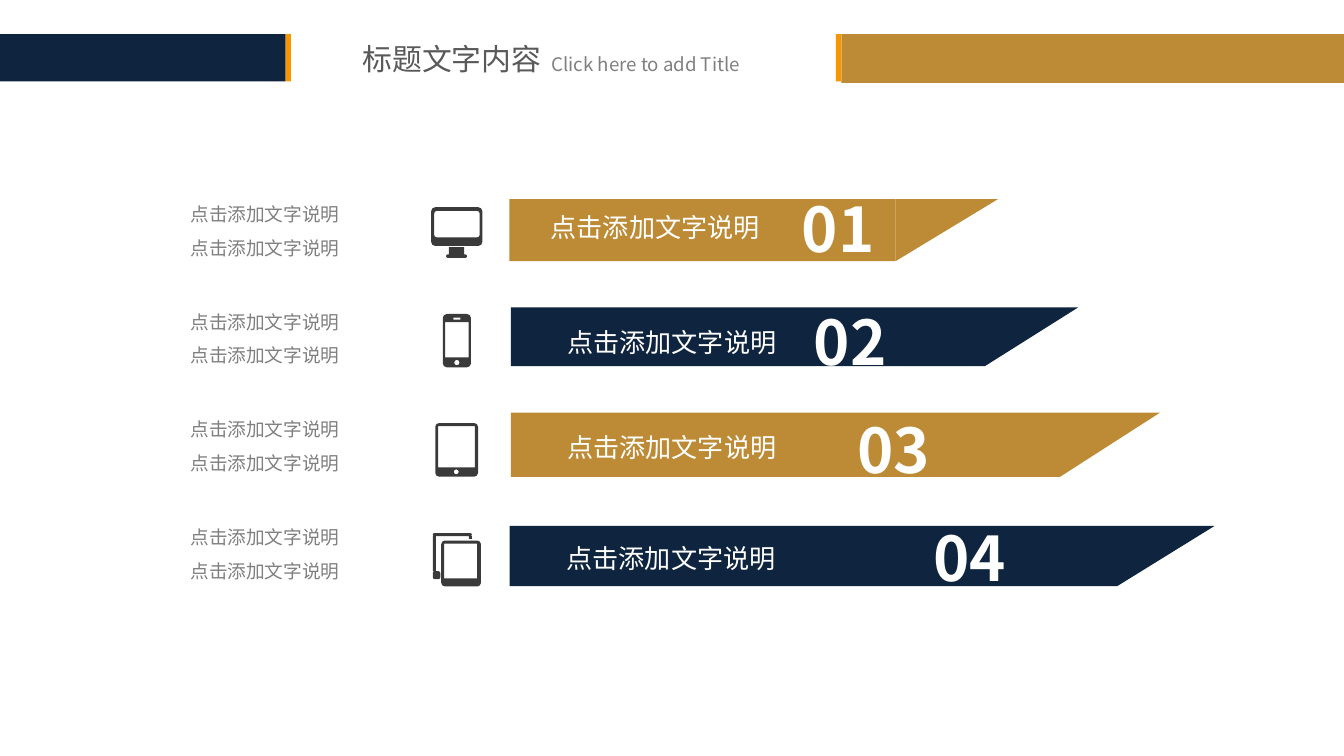
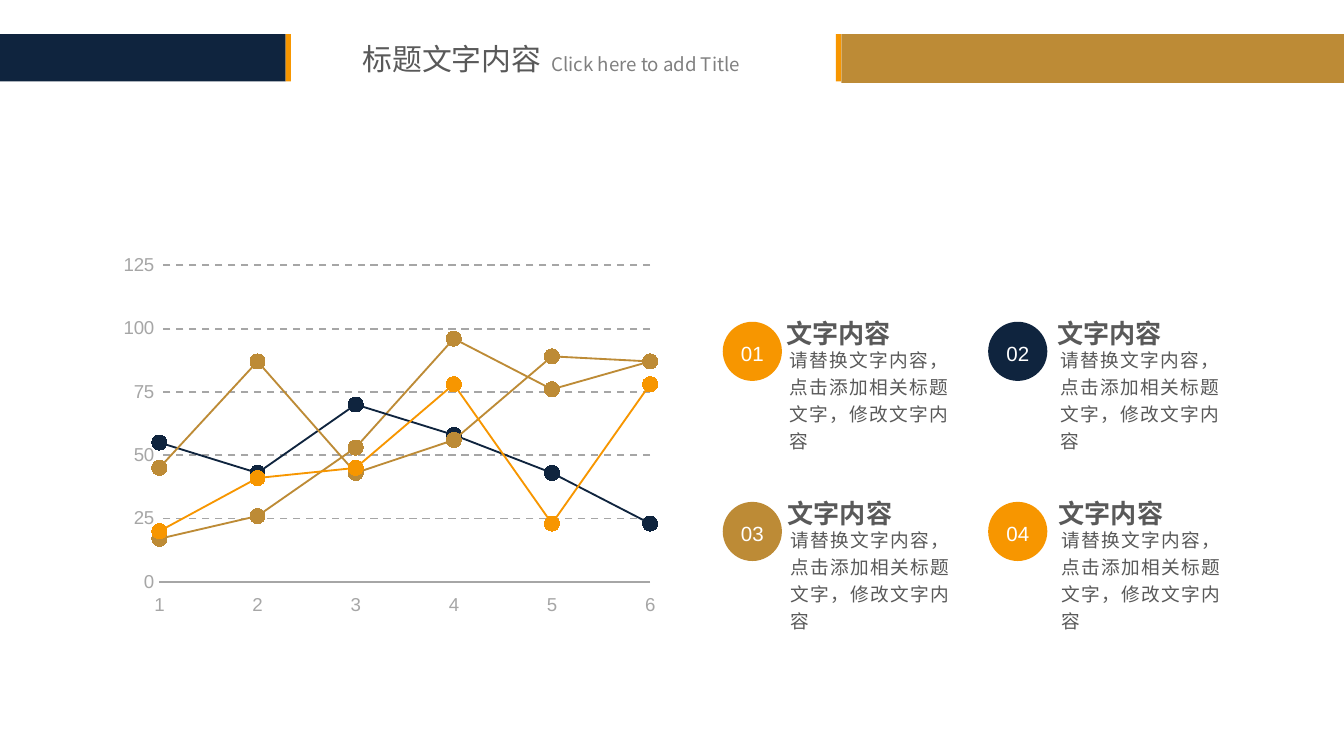
from math import cos, radians, sin

from lxml.etree import SubElement
from pptx import Presentation
from pptx.chart.data import CategoryChartData
from pptx.dml.color import RGBColor
from pptx.enum.chart import XL_CHART_TYPE, XL_MARKER_STYLE, XL_TICK_LABEL_POSITION, XL_TICK_MARK
from pptx.enum.dml import MSO_LINE
from pptx.enum.shapes import MSO_SHAPE
from pptx.enum.text import MSO_ANCHOR, MSO_AUTO_SIZE, PP_ALIGN
from pptx.oxml.ns import qn
from pptx.util import Pt

RECTANGLE, TRIANGLE, OVAL = MSO_SHAPE.RECTANGLE, MSO_SHAPE.RIGHT_TRIANGLE, MSO_SHAPE.OVAL
LEFT, CENTER, JUSTIFY = PP_ALIGN.LEFT, PP_ALIGN.CENTER, PP_ALIGN.JUSTIFY
TOP, MIDDLE = MSO_ANCHOR.TOP, MSO_ANCHOR.MIDDLE
NO_TICK = XL_TICK_MARK.NONE


class Theme:
    navy = RGBColor(0x0F, 0x24, 0x3E)
    gold = RGBColor(0xBD, 0x8B, 0x36)
    orange = RGBColor(0xF7, 0x96, 0x00)
    white = RGBColor(0xFF, 0xFF, 0xFF)
    icon = RGBColor(0x3A, 0x3A, 0x3A)
    dark_text = RGBColor(0x59, 0x59, 0x59)
    gray_text = RGBColor(0x80, 0x80, 0x80)
    axis = RGBColor(0xA6, 0xA6, 0xA6)
    cjk_font = "Noto Sans CJK SC"
    latin_font = "Arial"
    title, heading, badge, body, number = Pt(16), Pt(14), Pt(11), Pt(10), Pt(33)


def paint(shape, color):
    """Give a shape a flat fill with no outline or shadow."""
    shape.shadow.inherit = False
    shape.fill.solid()
    shape.fill.fore_color.rgb = color
    shape.line.fill.background()


def add_text(page, area, lines, size, color, font=Theme.cjk_font, bold=False, wrap=True,
             inset=(5.4, 2.7), align=LEFT, anchor=TOP, spacing=1.0):
    """Place one paragraph per line in area: left, top, width, height in points."""
    frame = page.shapes.add_textbox(*map(Pt, area)).text_frame
    frame.word_wrap = wrap
    frame.auto_size = MSO_AUTO_SIZE.SHAPE_TO_FIT_TEXT
    frame.vertical_anchor = anchor
    frame.margin_left = frame.margin_right = Pt(inset[0])
    frame.margin_top = frame.margin_bottom = Pt(inset[1])
    frame.text = "\n".join(lines)
    for para in frame.paragraphs:
        para.alignment = align
        para.line_spacing = spacing
        para.font.size = size
        para.font.bold = bold
        para.font.color.rgb = color
        para.font.name = font
        SubElement(para._p.pPr.find(qn("a:defRPr")), qn("a:ea"), typeface=Theme.cjk_font)


deck = Presentation()
deck.slide_width, deck.slide_height = Pt(720), Pt(405)
pages = [deck.slides.add_slide(deck.slide_layouts[6]) for _ in range(2)]

# Shared header
header_bands = [
    (450.7, 269.3, 26.2, Theme.gold),
    (0, 153, 25.4, Theme.navy),
    (447.8, 2.9, 25.4, Theme.orange),
    (153, 2.9, 25.4, Theme.orange),
]
for page in pages:
    add_text(page, (187.2, 18, 119.5, 26.6), ["标题文字内容"], Theme.title, Theme.dark_text,
             wrap=False, inset=(7.2, 3.6))
    add_text(page, (288.5, 25, 121.5, 19.4), ["Click here to add Title"], Theme.body,
             Theme.gray_text, wrap=False, inset=(7.2, 3.6))
    for left, width, height, color in header_bands:
        paint(page.shapes.add_shape(RECTANGLE, Pt(left), Pt(18.3), Pt(width), Pt(height)), color)

# Slide 1: arrow bars, numbers and captions
bars_page, chart_page = pages
caption = "点击添加文字说明"
# bar left, top, width, height, tail length, label left and top, number left and top
bars = [
    (272.9, 106.7, 206.9, 33.2, 54.8, 289.6, 110.6, 424.1, 99.7),
    (273.7, 164.7, 253.9, 31.5, 50, 298.4, 172.1, 430.6, 160.2),
    (273.7, 221.1, 294.1, 34.4, 53.6, 298.4, 228.2, 453.9, 218.2),
    (273, 281.8, 325.4, 32.3, 52.2, 298.1, 288, 494.8, 275.8),
]
for index, (left, top, width, height, tail, label_left, label_top,
            number_left, number_top) in enumerate(bars):
    color = (Theme.gold, Theme.navy)[index % 2]
    bar = bars_page.shapes.add_shape(RECTANGLE, Pt(left), Pt(top), Pt(width), Pt(height))
    paint(bar, color)
    # The tail is turned a quarter, so its box is set around the turned centre
    tip = bars_page.shapes.add_shape(
        TRIANGLE, Pt(left + width + (tail - height) / 2), Pt(top + (height - tail) / 2),
        Pt(height), Pt(tail))
    tip.rotation = 90
    paint(tip, color)
    add_text(bars_page, (number_left, number_top, 56.2, 45.4), [f"{index + 1:02}"],
             Theme.number, Theme.white, bold=True)
    add_text(bars_page, (label_left, label_top, 144, 22.3), [caption],
             Theme.heading, Theme.white)
    add_text(bars_page, (67.4, 100 + 57.7 * index, 149, 41.8), [caption] * 2,
             Theme.body, Theme.gray_text, align=CENTER, spacing=1.5)

# Each icon is a list of rounded outlines: left, top, width, height, corner radius
monitor = [(231, 111, 27.4, 20.8, 2.2), (232.6, 113, 24.4, 14.2, 1.4),
           (240.5, 132.4, 8.1, 3.9, 0), (239, 136.3, 11.2, 1.9, 0.9)]
phone = [(237.2, 168.2, 15.1, 28.6, 2.2), (242.9, 170.1, 3.7, 1.1, 0),
         (243.3, 192.8, 2.9, 2.9, 1.45), (238.4, 172.6, 12.7, 18.9, 0)]
tablet = [(233.2, 226.7, 22.9, 28.7, 2), (243.1, 251.5, 2.7, 2.7, 1.35),
          (234.8, 228.4, 19.6, 22.1, 0)]
tablet_pair = [(236.4, 289.6, 21.3, 24.6, 2), (238, 291.3, 17.7, 18.6, 0),
               (231.9, 285.6, 20.9, 1.7, 0.8), (231.9, 287.3, 1.6, 18.7, 0),
               (231.9, 306, 4, 4.3, 1), (251.2, 287.3, 1.6, 1.4, 0)]
for outlines in (tablet, tablet_pair, monitor, phone):
    builder = None
    for left, top, width, height, radius in outlines:
        corners = [(left + width - radius, top + height - radius, 0),
                   (left + radius, top + height - radius, 90),
                   (left + radius, top + radius, 180),
                   (left + width - radius, top + radius, 270)]
        points = [(Pt(x + radius * cos(radians(start + turn))),
                   Pt(y + radius * sin(radians(start + turn))))
                  for x, y, start in corners
                  for turn in ((0, 45, 90) if radius else (0,))]
        if builder is None:
            builder = bars_page.shapes.build_freeform(*points[0])
        else:
            builder.move_to(*points[0])
        builder.add_line_segments(points[1:], close=True)
    paint(builder.convert_to_shape(), Theme.icon)

# Slide 2: line chart
chart_data = CategoryChartData(number_format="0")
chart_data.categories = ["1", "2", "3", "4", "5", "6"]
chart_data.add_series("Series 1", (17, 26, 53, 96, 76, 87))
chart_data.add_series("Series 2", (55, 43, 70, 58, 43, 23))
chart_data.add_series("Series 3", (45, 87, 43, 56, 89, 87))
chart_data.add_series("Series 4", (20, 41, 45, 78, 23, 78))
chart = chart_page.shapes.add_chart(
    XL_CHART_TYPE.LINE_MARKERS, Pt(64.5), Pt(131.4), Pt(290.2), Pt(198.7), chart_data).chart
chart.has_legend = False
chart.has_title = False
chart.font.name = Theme.latin_font
chart.font.size = Theme.body
chart.plots[0].vary_by_categories = False

series_colors = [Theme.gold, Theme.navy, Theme.gold, Theme.orange]
for series, color in zip(chart.plots[0].series, series_colors):
    series.smooth = False
    series.marker.style = XL_MARKER_STYLE.CIRCLE
    series.marker.size = 8
    series.marker.format.fill.solid()
    series.marker.format.fill.fore_color.rgb = Theme.white
    for line in (series.format.line, series.marker.format.line):
        line.color.rgb = color
        line.width = Pt(1)

categories, values = chart.category_axis, chart.value_axis
for axis in (categories, values):
    axis.major_tick_mark = axis.minor_tick_mark = NO_TICK
    axis.tick_labels.font.size = Theme.body
    axis.tick_labels.font.color.rgb = Theme.axis
categories.has_major_gridlines = False
categories.tick_label_position = XL_TICK_LABEL_POSITION.LOW
values.minimum_scale, values.maximum_scale, values.major_unit = 0, 125, 25
values.tick_labels.number_format = "0"
values.tick_labels.number_format_is_linked = False
values.format.line.fill.background()
values.has_major_gridlines = True
grid_line = values.major_gridlines.format.line
for line in (categories.format.line, grid_line):
    line.color.rgb = Theme.axis
    line.width = Pt(1)
grid_line.dash_style = MSO_LINE.DASH

# Start the lines on the value axis
value_xml = values._element
for crossing in value_xml.findall(qn("c:crossBetween")):
    value_xml.remove(crossing)
crossing = SubElement(value_xml, qn("c:crossBetween"), val="midCat")
value_xml.find(qn("c:crosses")).addnext(crossing)

# Fix the inner plot area
plot_area = chart._chartSpace.chart.plotArea
for layout in plot_area.findall(qn("c:layout")):
    plot_area.remove(layout)
layout = SubElement(plot_area, qn("c:layout"))
plot_area.insert(0, layout)
manual = SubElement(layout, qn("c:manualLayout"))
for tag, value in [("layoutTarget", "inner"), ("xMode", "edge"), ("yMode", "edge"),
                   ("x", "0.072"), ("y", "0.054"), ("w", "0.906"), ("h", "0.854")]:
    SubElement(manual, qn(f"c:{tag}"), val=value)

# Slide 2: numbered cards in a two-by-two grid
card_colors = [Theme.orange, Theme.navy, Theme.gold, Theme.orange]
card_style = {"font": Theme.latin_font, "inset": (0, 0), "spacing": 1.2}
for index, color in enumerate(card_colors):
    row, column = divmod(index, 2)
    badge_left, badge_top = 387.2 + 142.2 * column, 172.4 + 96.5 * row
    text_left = 421.3 + 145.2 * column + 0.6 * row
    badge = chart_page.shapes.add_shape(OVAL, Pt(badge_left), Pt(badge_top), Pt(31.7), Pt(31.7))
    paint(badge, color)
    add_text(chart_page, (text_left, badge_top - 5.7, 58, 20.2), ["文字内容"],
             Theme.heading, Theme.dark_text, bold=True, wrap=False, **card_style)
    add_text(chart_page, (text_left + 1.4, badge_top + 12.2, 85, 58.3),
             ["请替换文字内容，点击添加相关标题文字，修改文字内容"],
             Theme.body, Theme.dark_text, align=JUSTIFY, **card_style)
    add_text(chart_page, (badge_left + 9.8, badge_top + 7.8, 14, 15.8), [f"{index + 1:02}"],
             Theme.badge, Theme.white, wrap=False, anchor=MIDDLE, **card_style)

deck.save("out.pptx")
